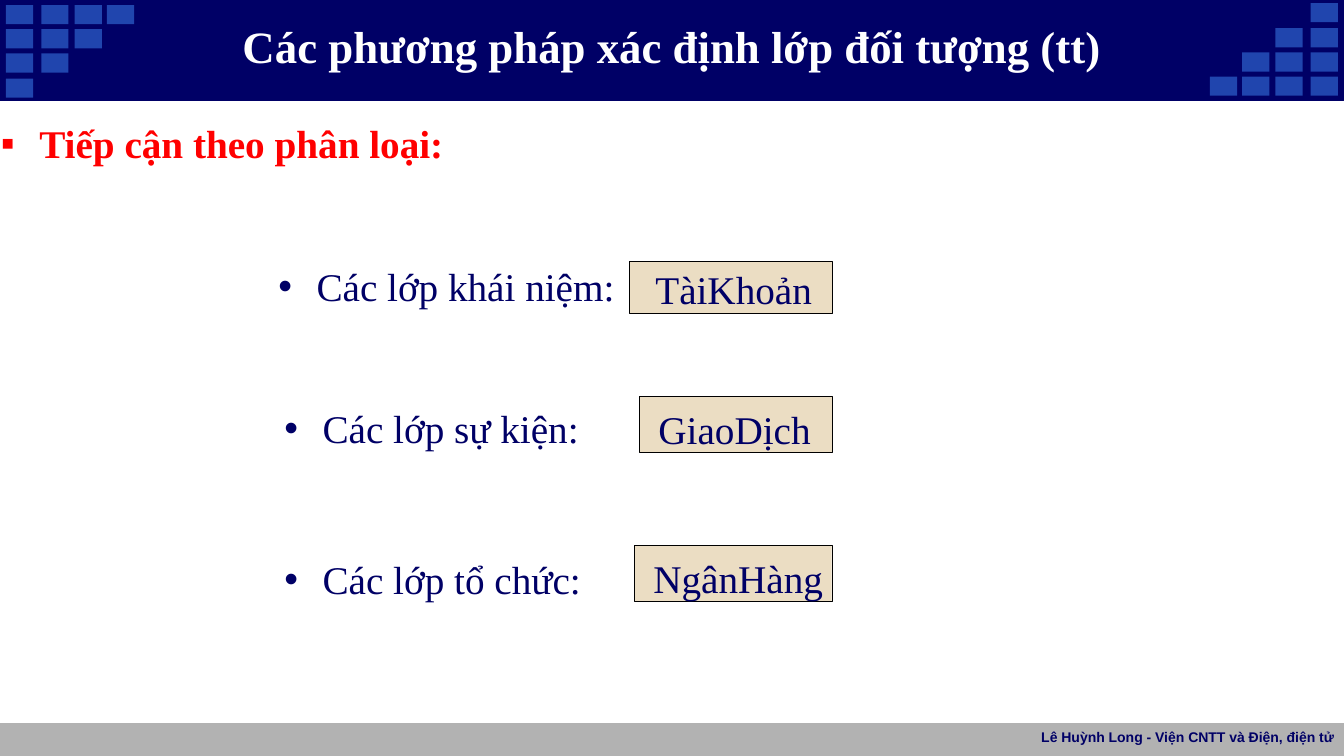
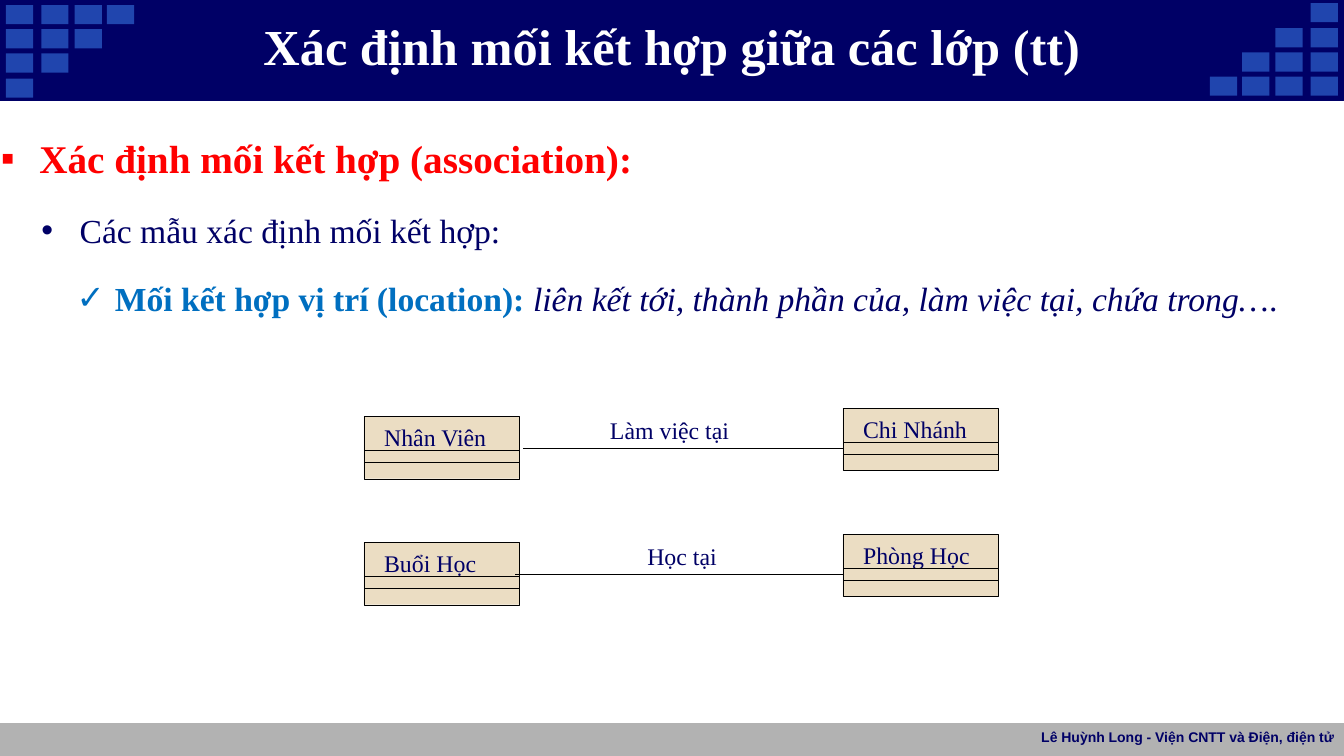
from lxml.etree import SubElement
from pptx import Presentation
from pptx.dml.color import RGBColor
from pptx.enum.shapes import MSO_CONNECTOR, MSO_SHAPE
from pptx.enum.text import MSO_ANCHOR, PP_ALIGN
from pptx.oxml.ns import qn
from pptx.util import Inches, Pt

NAVY = RGBColor(0x00, 0x00, 0x66)
TILE_BLUE = RGBColor(0x20, 0x45, 0xAE)
FOOTER_GREY = RGBColor(0xB2, 0xB2, 0xB2)
SAND = RGBColor(0xEB, 0xDD, 0xC3)
RED = RGBColor(0xFF, 0x00, 0x00)
BLUE = RGBColor(0x00, 0x6F, 0xC0)
WHITE = RGBColor(0xFF, 0xFF, 0xFF)
BLACK = RGBColor(0x00, 0x00, 0x00)

SERIF, SANS = "Times New Roman", "Arial"

# The slide is a grid of square cells, 75 rows high.
SLIDE_WIDTH, SLIDE_HEIGHT = Inches(13.33), Inches(7.5)
CELL = SLIDE_HEIGHT // 75
COLUMNS, ROWS = SLIDE_WIDTH / CELL, 75

BAND_ROWS = 10
FOOTER_TOP = 71.75
TILE_WIDTH, TILE_HEIGHT = 2.7, 1.9
TILE_COLUMNS = (0.6, 4.1, 7.4, 10.6)
TILE_ROWS = (0.5, 2.9, 5.3, 7.8)


def cells(*counts):
    return [round(count * CELL) for count in counts]


def add_box(slide, left, top, width, height, fill, line=None, weight=0.25):
    box = slide.shapes.add_shape(MSO_SHAPE.RECTANGLE, *cells(left, top, width, height))
    box.shadow.inherit = False
    box.fill.solid()
    box.fill.fore_color.rgb = fill
    if line is None:
        box.line.fill.background()
    else:
        box.line.color.rgb = line
        box.line.width = Pt(weight)
    return box


def add_text_area(slide, left, top, width, height):
    area = slide.shapes.add_textbox(*cells(left, top, width, height))
    set_frame(area.text_frame)
    return area.text_frame


def set_frame(frame, left=0, top=0.1, anchor=MSO_ANCHOR.TOP):
    frame.word_wrap = True
    frame.vertical_anchor = anchor
    frame.margin_left, frame.margin_top = cells(left, top)
    frame.margin_right = frame.margin_bottom = 0


def add_run(paragraph, text, size, color=NAVY, bold=False, italic=False, font=SERIF):
    run = paragraph.add_run()
    run.text = text
    run.font.name = font
    run.font.size = Pt(size)
    run.font.color.rgb = color
    run.font.bold = bold
    run.font.italic = italic


def set_bullet(paragraph, char, margin=3.9):
    """Hang the bullet 3.8 cells left of the text margin."""
    margin_left, hanging = cells(margin, 3.8)
    properties = paragraph._p.get_or_add_pPr()
    properties.set("marL", str(margin_left))
    properties.set("indent", str(-hanging))
    SubElement(properties, qn("a:buFont")).set("typeface", SANS)
    SubElement(properties, qn("a:buChar")).set("char", char)


def add_corner_tiles(slide):
    """Tile a staircase in the band's left corner and its half-turn at the right."""
    for row, top in enumerate(TILE_ROWS):
        for left in TILE_COLUMNS[:len(TILE_COLUMNS) - row]:
            add_box(slide, left, top, TILE_WIDTH, TILE_HEIGHT, TILE_BLUE)
            add_box(slide, COLUMNS - left - TILE_WIDTH, BAND_ROWS - top - TILE_HEIGHT,
                    TILE_WIDTH, TILE_HEIGHT, TILE_BLUE)


def add_framed_slide(deck, title, title_size):
    """Add a blank slide with the title band, corner tiles and footer."""
    slide = deck.slides.add_slide(deck.slide_layouts[6])
    add_box(slide, 0, FOOTER_TOP, COLUMNS, ROWS - FOOTER_TOP, FOOTER_GREY)
    add_box(slide, 0, 0, COLUMNS, BAND_ROWS, NAVY, NAVY, 0.75)
    add_corner_tiles(slide)

    heading = add_text_area(slide, 20, 1.5, COLUMNS - 40, 6)
    heading.vertical_anchor = MSO_ANCHOR.MIDDLE
    heading.paragraphs[0].alignment = PP_ALIGN.CENTER
    add_run(heading.paragraphs[0], title, title_size, WHITE, bold=True)

    footer = add_text_area(slide, COLUMNS - 41, FOOTER_TOP, 40, 3)
    footer.margin_top = cells(0.5)[0]
    footer.paragraphs[0].alignment = PP_ALIGN.RIGHT
    add_run(footer.paragraphs[0], "Lê Huỳnh Long - Viện CNTT và Điện, điện tử", 10,
            bold=True, font=SANS)
    return slide


def add_bullet_line(slide, left, top, width, text, char="•", color=NAVY, bold=False):
    line = add_text_area(slide, left, top, width, 4.9).paragraphs[0]
    set_bullet(line, char)
    add_run(line, text, 28, color, bold)


def add_example(slide, name, left, top, height, inset_left, inset_top):
    """Add a class-name box that ends at the shared right edge."""
    right_edge = 82.5
    box = add_box(slide, left, top, right_edge - left, height, SAND, BLACK)
    set_frame(box.text_frame, inset_left, inset_top)
    paragraph = box.text_frame.paragraphs[0]
    paragraph.alignment = PP_ALIGN.LEFT
    add_run(paragraph, name, 28)


def add_class(slide, name, left, top):
    """Stack name, attribute and operation compartments; return the attributes."""
    width = 15.45
    header = add_box(slide, left, top, width, 3.4, SAND, BLACK)
    set_frame(header.text_frame, 2, 0.6)
    paragraph = header.text_frame.paragraphs[0]
    paragraph.alignment = PP_ALIGN.LEFT
    add_run(paragraph, name, 17)
    attributes = add_box(slide, left, top + 3.4, width, 1.2, SAND, BLACK)
    add_box(slide, left, top + 4.6, width, 1.6, SAND, BLACK)
    return attributes


def add_association(slide, source, target, verb, top, line_left, verb_left):
    add_class(slide, source, 36.1, top + 0.8)
    attributes = add_class(slide, target, 83.6, top)
    level = attributes.top + attributes.height // 2
    link = slide.shapes.add_connector(MSO_CONNECTOR.STRAIGHT, *cells(line_left), level,
                                      attributes.left, level)
    link.end_connect(attributes, 1)
    link.line.color.rgb = BLACK
    link.line.width = Pt(0.72)
    SubElement(link._element.spPr, qn("a:effectLst"))
    label = add_text_area(slide, verb_left, top + 0.6, 14, 3)
    add_run(label.paragraphs[0], verb, 17)


def build_classification(deck):
    slide = add_framed_slide(deck, "Các phương pháp xác định lớp đối tượng (tt)", 32)
    add_bullet_line(slide, 0, 11.7, 57.3, "Tiếp cận theo phân loại:", "▪", RED, bold=True)
    add_bullet_line(slide, 27.5, 25.9, 35, "Các lớp khái niệm:")
    add_bullet_line(slide, 28.1, 40, 33, "Các lớp sự kiện:")
    add_bullet_line(slide, 28.1, 55, 33, "Các lớp tổ chức:")
    add_example(slide, "TàiKhoản", 62.4, 25.9, 5.2, 2.6, 0.4)
    add_example(slide, "GiaoDịch", 63.4, 39.3, 5.6, 1.9, 0.9)
    add_example(slide, "NgânHàng", 62.9, 54.1, 5.6, 1.9, 0.9)


def build_associations(deck):
    slide = add_framed_slide(deck, "Xác định mối kết hợp giữa các lớp (tt)", 36)
    outline = add_text_area(slide, 0, 10, COLUMNS, 21.7)
    outline.margin_top = cells(1)[0]
    levels = (
        ("▪", 3.9, 0, [("Xác định mối kết hợp (association):", 28, RED, True)]),
        ("•", 7.9, 6, [("Các mẫu xác định mối kết hợp:", 24)]),
        ("✓", 11.4, 5.1, [
            ("Mối kết hợp vị trí (location): ", 24, BLUE, True),
            ("liên kết tới, thành phần của, làm việc tại, chứa trong…",
             24, NAVY, False, True),
            (".", 24),
        ]),
    )
    for number, (char, margin, space_before, runs) in enumerate(levels):
        paragraph = outline.add_paragraph() if number else outline.paragraphs[0]
        set_bullet(paragraph, char, margin)
        paragraph.line_spacing = 1.5
        paragraph.space_before = Pt(space_before)
        for run in runs:
            add_run(paragraph, *run)

    add_association(slide, "Nhân Viên", "Chi Nhánh", "Làm việc tại", 40.5, 51.9, 60.5)
    add_association(slide, "Buổi Học", "Phòng Học", "Học tại", 53, 51.1, 64.2)


def main():
    deck = Presentation()
    deck.slide_width, deck.slide_height = SLIDE_WIDTH, SLIDE_HEIGHT
    build_classification(deck)
    build_associations(deck)
    deck.save("out.pptx")


if __name__ == "__main__":
    main()
